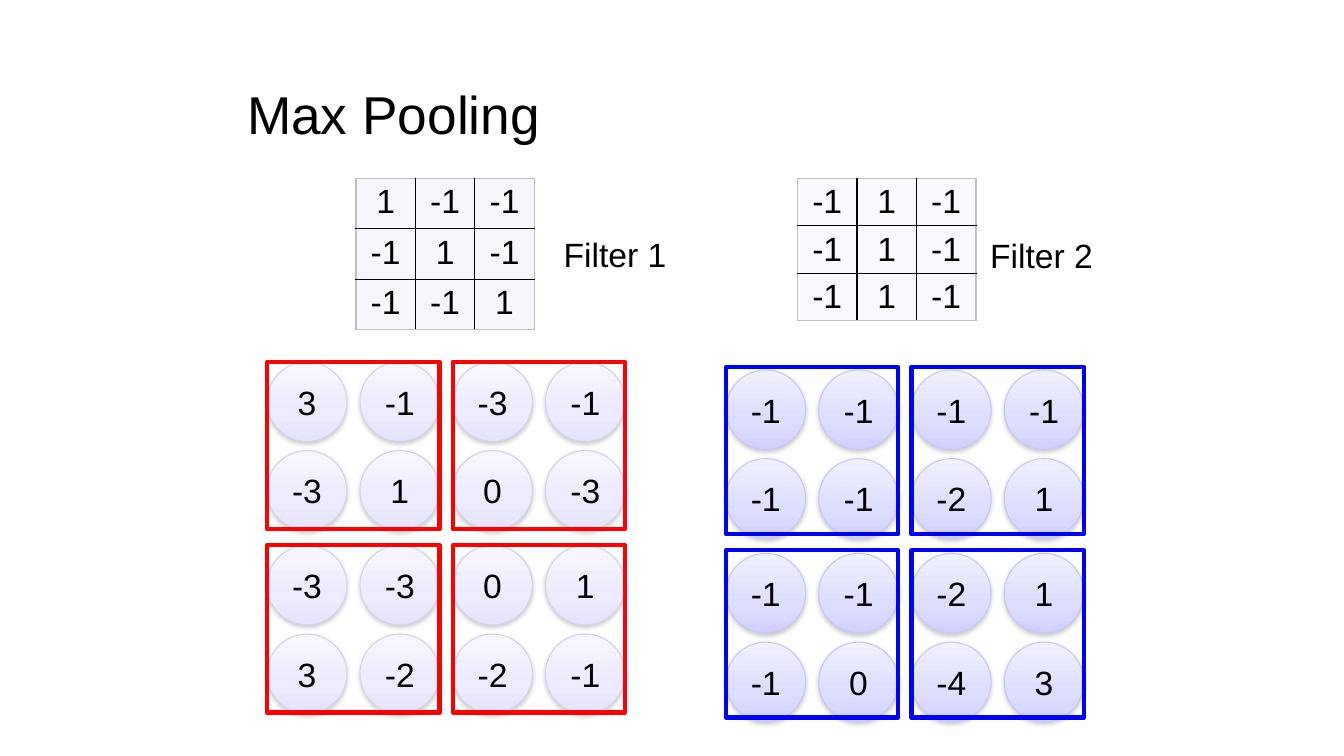
from lxml import etree
from pptx import Presentation, util as u
from pptx.dml.color import RGBColor
from pptx.enum import shapes, text
from pptx.oxml import ns

CIRCLE = 0.79
STEP_X, STEP_Y = 0.92, 0.88
BLOCK_WIDTH, BLOCK_HEIGHT = 1.71, 1.66
BLOCK_STEP_X, BLOCK_STEP_Y = 1.84, 1.82
BLACK, GREY = "000000", "BFBFBF"

FILTERS = [
    dict(label="Filter 1", label_box=(5.31, 2.27, 1.58, 0.51),
         table_box=(3.53, 1.77, 1.77, 1.5), cell_color="F7F7FB",
         kernel=[[1, -1, -1], [-1, 1, -1], [-1, -1, 1]],
         map_origin=(2.65, 3.59), frame_top=3.59, frame_color="FF0000",
         gradient=("F7F6FF", "ECEBFF", "E5E3FF"), outline="D4D3E7",
         values=[[3, -1, -3, -1], [-3, 1, 0, -3],
                 [-3, -3, 0, 1], [3, -2, -2, -1]]),
    dict(label="Filter 2", label_box=(9.54, 2.28, 1.58, 0.51),
         table_box=(7.91, 1.77, 1.77, 1.41), cell_color="F9F9FF",
         kernel=[[-1, 1, -1]] * 3,
         map_origin=(7.2, 3.67), frame_top=3.64, frame_color="0000FF",
         gradient=("F0F0FF", "DDDDFF", "D0D0FF"), outline="C6C6FB",
         values=[[-1, -1, -1, -1], [-1, -1, -2, 1],
                 [-1, -1, -2, 1], [-1, 0, -4, 3]]),
]


def color(value):
    return RGBColor.from_string(value)


def inches(*lengths):
    return [u.Inches(length) for length in lengths]


def add_xml(parent, tag, **attributes):
    return etree.SubElement(parent, ns.qn(tag), attributes)


def set_all(target, formats):
    for name, value in formats.items():
        setattr(target, name, value)


def write(frame, content, size=24, align=text.PP_ALIGN.CENTER):
    paragraph = frame.paragraphs[0]
    paragraph.text = str(content)
    paragraph.alignment = align
    set_all(paragraph.font, dict(name="Arial", size=u.Pt(size), bold=False))
    paragraph.font.color.rgb = color(BLACK)


def add_outlined(slide, kind, box, line_color, width):
    shape = slide.shapes.add_shape(kind, *inches(*box))
    shape.shadow.inherit = False
    shape.fill.background()
    shape.line.color.rgb = color(line_color)
    shape.line.width = u.Pt(width)
    return shape


def shade(shape, stops):
    """Give a shape a downward three-stop gradient and a soft shadow."""
    properties = shape.fill._xPr
    old_fill = properties.find(ns.qn("a:noFill"))
    gradient = etree.Element(ns.qn("a:gradFill"), rotWithShape="1")
    stop_list = add_xml(gradient, "a:gsLst")
    for position, stop in zip((0, 65, 100), stops):
        entry = add_xml(stop_list, "a:gs", pos=str(position * 1000))
        add_xml(entry, "a:srgbClr", val=stop)
    add_xml(gradient, "a:lin", ang="5400000", scaled="0")
    properties.replace(old_fill, gradient)

    effects = properties.find(ns.qn("a:effectLst"))
    shadow = add_xml(effects, "a:outerShdw", blurRad=str(u.Pt(3.1)),
                     dist=str(u.Pt(1.6)), dir="5400000", rotWithShape="0")
    shadow_color = add_xml(shadow, "a:srgbClr", val="808080")
    add_xml(shadow_color, "a:alpha", val="38000")


def add_borders(cell, edge_colors):
    properties = cell._tc.get_or_add_tcPr()
    for index, (side, edge) in enumerate(edge_colors.items()):
        line = etree.Element(ns.qn("a:ln" + side), w=str(u.Pt(1)))
        fill = add_xml(line, "a:solidFill")
        add_xml(fill, "a:srgbClr", val=edge)
        properties.insert(index, line)


def add_kernel(slide, box, kernel, cell_color):
    count = len(kernel)
    table = slide.shapes.add_table(count, count, *inches(*box)).table
    set_all(table, dict(first_row=False, horz_banding=False))
    margins = dict(zip(("margin_left", "margin_right", "margin_top",
                        "margin_bottom"), inches(0.1, 0.1, 0.05, 0.02)))
    for row, numbers in enumerate(kernel):
        table.rows[row].height = u.Inches(box[3] / count)
        table.columns[row].width = u.Inches(box[2] / count)
        for column, number in enumerate(numbers):
            cell = table.cell(row, column)
            set_all(cell, margins)
            cell.fill.solid()
            cell.fill.fore_color.rgb = color(cell_color)
            write(cell.text_frame, number)
            outer = dict(L=column == 0, R=column == count - 1,
                         T=row == 0, B=row == count - 1)
            add_borders(cell, {side: GREY if is_outer else BLACK
                               for side, is_outer in outer.items()})


def add_label(slide, box, label):
    frame = slide.shapes.add_textbox(*inches(*box)).text_frame
    frame.word_wrap = True
    write(frame, label)


def add_feature_map(slide, origin, values, gradient, outline):
    for row, numbers in enumerate(values):
        for column, number in enumerate(numbers):
            left = origin[0] + column * STEP_X
            top = origin[1] + row // 2 * BLOCK_STEP_Y + row % 2 * STEP_Y
            circle = add_outlined(slide, shapes.MSO_SHAPE.OVAL,
                                  (left, top, CIRCLE, CIRCLE), outline, 0.75)
            shade(circle, gradient)
            set_all(circle.text_frame, dict(
                margin_left=0, margin_right=0, word_wrap=True,
                vertical_anchor=text.MSO_ANCHOR.MIDDLE))
            write(circle.text_frame, number)


def add_pooling_frames(slide, left, top, frame_color):
    for row in range(2):
        for column in range(2):
            box = (left + column * BLOCK_STEP_X, top + row * BLOCK_STEP_Y,
                   BLOCK_WIDTH, BLOCK_HEIGHT)
            add_outlined(slide, shapes.MSO_SHAPE.RECTANGLE, box, frame_color, 3)


def add_title(slide, box, content):
    title = slide.shapes.title
    set_all(title, dict(zip(("left", "top", "width", "height"), inches(*box))))
    title.text_frame.vertical_anchor = text.MSO_ANCHOR.MIDDLE
    write(title.text_frame, content, 38, text.PP_ALIGN.LEFT)


def main():
    presentation = Presentation()
    presentation.slide_width, presentation.slide_height = inches(13.33, 7.5)
    slide = presentation.slides.add_slide(presentation.slide_layouts[5])
    add_title(slide, (2.35, 0.4, 8.62, 1.45), "Max Pooling")
    for item in FILTERS:
        add_kernel(slide, item["table_box"], item["kernel"], item["cell_color"])
        add_label(slide, item["label_box"], item["label"])
        add_feature_map(slide, item["map_origin"], item["values"],
                        item["gradient"], item["outline"])
        add_pooling_frames(slide, item["map_origin"][0], item["frame_top"],
                           item["frame_color"])
    presentation.save("out.pptx")


if __name__ == "__main__":
    main()
